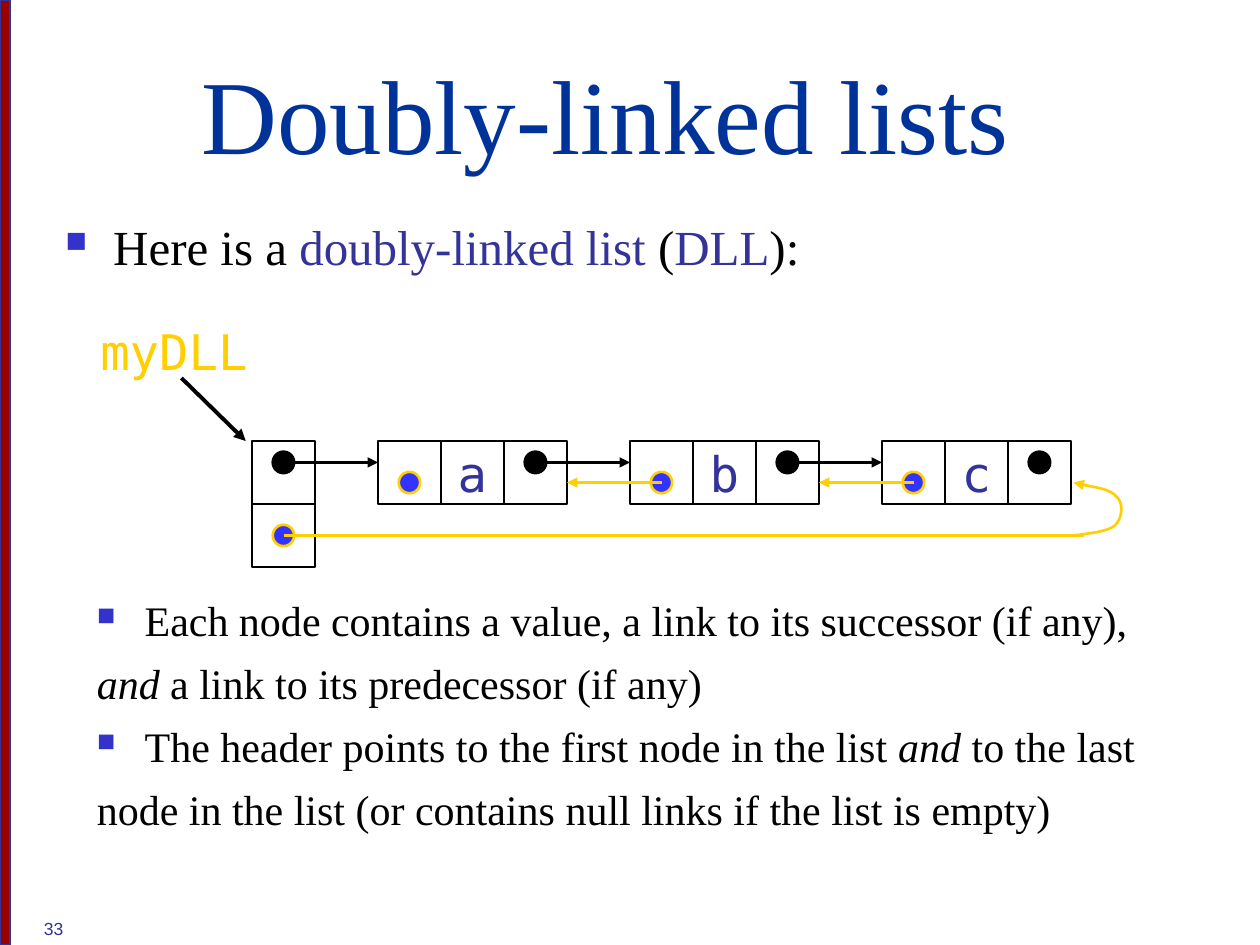
from typing import NamedTuple

from lxml.etree import SubElement
from pptx import Presentation
from pptx.dml.color import RGBColor
from pptx.enum.shapes import MSO_CONNECTOR, MSO_SHAPE
from pptx.enum.text import MSO_ANCHOR, PP_ALIGN
from pptx.oxml.ns import qn
from pptx.util import Inches, Pt

BLACK = RGBColor(0x00, 0x00, 0x00)
RED = RGBColor(0x99, 0x00, 0x00)
INDIGO = RGBColor(0x33, 0x33, 0x99)
NAVY = RGBColor(0x00, 0x33, 0x99)
BLUE = RGBColor(0x33, 0x33, 0xFF)
YELLOW = RGBColor(0xFF, 0xCF, 0x01)
BULLET_HEX = "3333CC"
SERIF, MONO, SANS = "Times New Roman", "DejaVu Sans Mono", "Arial"
CELL, DOT = 0.5, 0.17
ROW_TOP, NEXT_Y, PREVIOUS_Y, LAST_Y = 3.5, 3.67, 3.83, 4.25
HEADER_X, FIRST_NODE_X, NODE_STEP = 2, 3, 2


class Span(NamedTuple):
    text: str
    color: RGBColor = BLACK
    italic: bool = False


class Line(NamedTuple):
    spans: list[Span]
    bulleted: bool = False


class Style(NamedTuple):
    size: float
    font: str = SERIF
    space_before: float = 0
    align: PP_ALIGN = PP_ALIGN.LEFT
    hanging: bool = False


INTRO = [Line([Span("Here is a "), Span("doubly-linked list", INDIGO), Span(" ("),
               Span("DLL", INDIGO), Span("):")], True)]
DETAILS = [
    Line([Span("Each node contains a value, a link to its successor (if any),")], True),
    Line([Span("and", italic=True), Span(" a link to its predecessor (if any)")]),
    Line([Span("The header points to the first node in the list "),
          Span("and", italic=True), Span(" to the last")], True),
    Line([Span("node in the list (or contains null links if the list is empty)")]),
]
LETTER = Style(28, MONO, 7, PP_ALIGN.CENTER)


def write_lines(frame, lines: list[Line], style: Style) -> None:
    for index, line in enumerate(lines):
        paragraph = frame.add_paragraph() if index else frame.paragraphs[0]
        paragraph.alignment = style.align
        paragraph.space_before = Pt(style.space_before)
        properties = paragraph._p.get_or_add_pPr()
        if style.hanging:
            properties.set("marL", str(Inches(0.38)))
            properties.set("indent", str(Inches(-0.38)))
        if line.bulleted:
            color = SubElement(properties, qn("a:buClr"))
            SubElement(color, qn("a:srgbClr"), val=BULLET_HEX)
            SubElement(properties, qn("a:buSzPct"), val="60000")
            SubElement(properties, qn("a:buChar"), char="■")
        for span in line.spans:
            run = paragraph.add_run()
            run.text = span.text
            run.font.size = Pt(style.size)
            run.font.name = style.font
            run.font.color.rgb = span.color
            run.font.italic = span.italic


def add_text(slide, box: tuple, lines: list[Line], style: Style,
             anchor: MSO_ANCHOR = MSO_ANCHOR.TOP) -> None:
    frame = slide.shapes.add_textbox(*map(Inches, box)).text_frame
    frame.word_wrap = True
    frame.vertical_anchor = anchor
    write_lines(frame, lines, style)


def add_outlined(slide, kind: MSO_SHAPE, box: tuple, line: RGBColor,
                 fill: RGBColor | None = None, width: float = 1.5):
    shape = slide.shapes.add_shape(kind, *map(Inches, box))
    shape.shadow.inherit = False
    if fill is None:
        shape.fill.background()
    else:
        shape.fill.solid()
        shape.fill.fore_color.rgb = fill
    shape.line.color.rgb = line
    shape.line.width = Pt(width)
    return shape


def add_cell(slide, x: float, y: float = ROW_TOP, letter: str = "") -> None:
    cell = add_outlined(slide, MSO_SHAPE.RECTANGLE, (x, y, CELL, CELL), BLACK)
    if letter:
        cell.text_frame.word_wrap = False
        cell.text_frame.vertical_anchor = MSO_ANCHOR.MIDDLE
        write_lines(cell.text_frame, [Line([Span(letter, INDIGO)])], LETTER)


def add_dot(slide, x: float, y: float, line: RGBColor, fill: RGBColor) -> None:
    add_outlined(slide, MSO_SHAPE.OVAL, (x - DOT / 2, y - DOT / 2, DOT, DOT), line, fill)


def add_arrowhead(shape) -> None:
    SubElement(shape.line._get_or_add_ln(), qn("a:tailEnd"), type="triangle")


def add_link(slide, start: tuple, end: tuple, color: RGBColor,
             width: float = 1.5, arrow: bool = True) -> None:
    link = slide.shapes.add_connector(MSO_CONNECTOR.STRAIGHT, *map(Inches, start + end))
    link.line.color.rgb = color
    link.line.width = Pt(width)
    if arrow:
        add_arrowhead(link)
    SubElement(link._element.spPr, qn("a:effectLst"))


def add_curve(slide, start: tuple, controls: list[tuple], color: RGBColor) -> None:
    builder = slide.shapes.build_freeform(*map(Inches, start))
    builder.add_line_segments([tuple(map(Inches, point)) for point in controls], close=False)
    curve = builder.convert_to_shape()
    outline = next(curve._element.iter(qn("a:path")))
    segments = outline.findall(qn("a:lnTo"))
    for first in range(0, len(segments), 3):
        bezier = SubElement(outline, qn("a:cubicBezTo"))
        for segment in segments[first:first + 3]:
            bezier.append(segment[0])
            outline.remove(segment)
    curve.shadow.inherit = False
    curve.fill.background()
    curve.line.color.rgb = color
    curve.line.width = Pt(1.5)
    add_arrowhead(curve)


def add_node(slide, x: float, letter: str, is_first: bool, is_last: bool) -> None:
    for column, value in enumerate(("", letter, "")):
        add_cell(slide, x + column * CELL, letter=value)
    previous_x, next_x = x + CELL / 2, x + 2.5 * CELL
    add_dot(slide, previous_x, PREVIOUS_Y, YELLOW, BLUE)
    add_dot(slide, next_x, NEXT_Y, BLACK, BLACK)
    if not is_first:
        add_link(slide, (previous_x, PREVIOUS_Y), (x - CELL, PREVIOUS_Y), YELLOW)
    if not is_last:
        add_link(slide, (next_x, NEXT_Y), (x + NODE_STEP, NEXT_Y), BLACK)


def add_header(slide) -> None:
    center = HEADER_X + CELL / 2
    add_cell(slide, HEADER_X)
    add_cell(slide, HEADER_X, ROW_TOP + CELL)
    add_dot(slide, center, NEXT_Y, BLACK, BLACK)
    add_dot(slide, center, LAST_Y, YELLOW, BLUE)
    add_link(slide, (center, NEXT_Y), (FIRST_NODE_X, NEXT_Y), BLACK)
    add_link(slide, (center, LAST_Y), (8.6, LAST_Y), YELLOW, arrow=False)
    add_curve(slide, (8.52, LAST_Y), [
        (8.66, 4.23), (8.79, 4.22), (8.85, 4.17),
        (8.91, 4.11), (8.92, 3.99), (8.86, 3.94),
        (8.81, 3.88), (8.59, 3.85), (8.52, PREVIOUS_Y)], YELLOW)


def main() -> None:
    """Build the doubly-linked list slide."""
    deck = Presentation()
    deck.slide_width, deck.slide_height = Inches(10), Inches(7.5)
    slide = deck.slides.add_slide(deck.slide_layouts[6])
    add_outlined(slide, MSO_SHAPE.RECTANGLE, (0, 0, 0.08, 7.5), INDIGO, RED, 0.75)
    add_text(slide, (0.25, 7, 8.28, 0.5), [Line([Span("33", INDIGO)])],
             Style(10, SANS), MSO_ANCHOR.BOTTOM)
    add_text(slide, (1.5, 0.02, 8.42, 1.42), [Line([Span("Doubly-linked lists", NAVY)])],
             Style(60), MSO_ANCHOR.BOTTOM)
    add_text(slide, (0.42, 1.67, 9.38, 0.77), INTRO, Style(28, space_before=7, hanging=True))
    add_text(slide, (0.67, 4.67, 8.5, 2.58), DETAILS,
             Style(24, space_before=7.2, hanging=True))
    add_text(slide, (0.67, 2.5, 1.42, 0.57), [Line([Span("myDLL", YELLOW)])],
             Style(28, MONO, 17.5, PP_ALIGN.CENTER))
    add_link(slide, (1.44, 3), (1.95, 3.5), BLACK, 2.25)
    add_header(slide)
    letters = "abc"
    for index, letter in enumerate(letters):
        add_node(slide, FIRST_NODE_X + index * NODE_STEP, letter,
                 index == 0, index == len(letters) - 1)
    deck.save("out.pptx")


if __name__ == "__main__":
    main()
